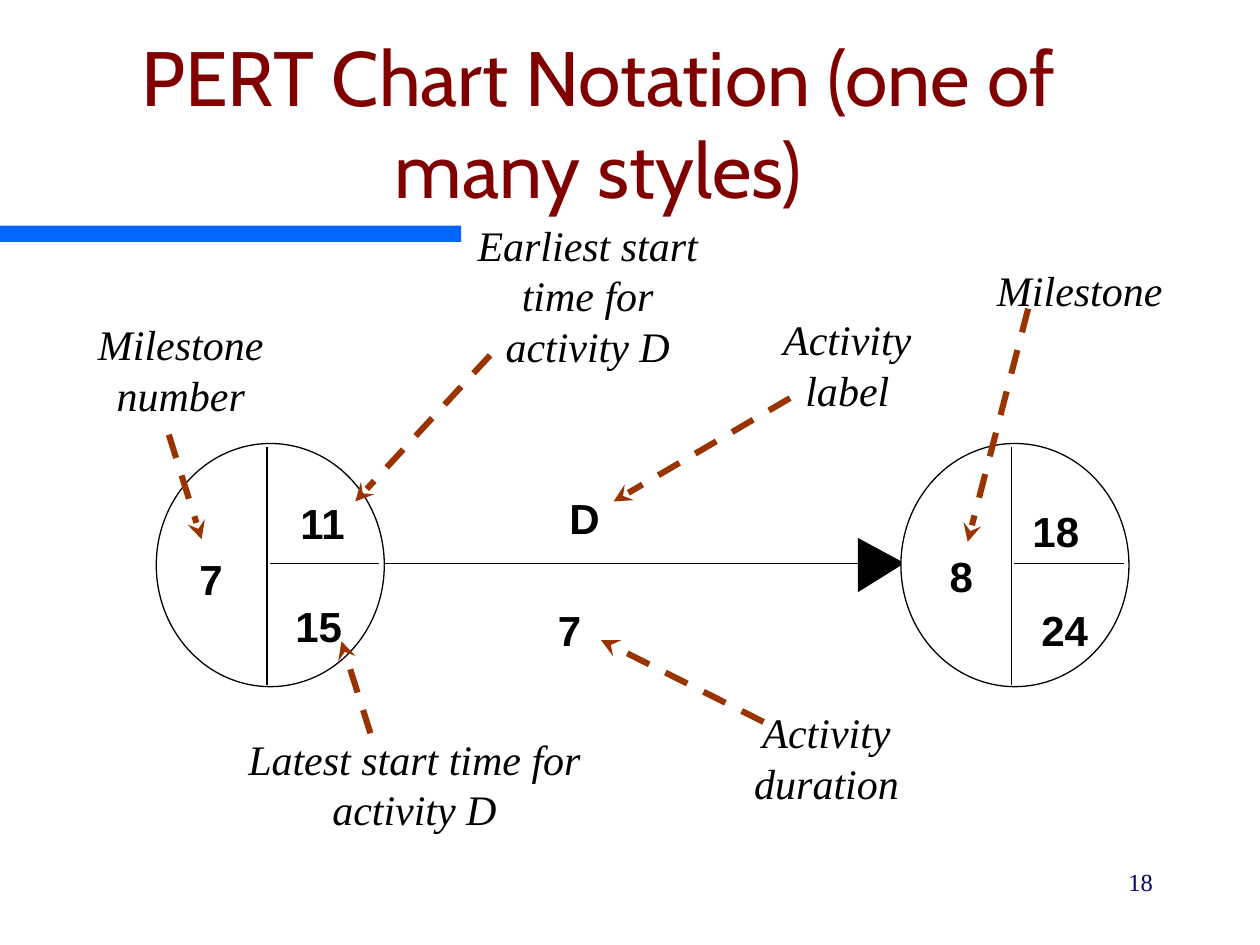
from dataclasses import dataclass

from lxml import etree
from pptx import Presentation
from pptx.dml.color import RGBColor
from pptx.enum.dml import MSO_LINE
from pptx.enum.shapes import MSO_CONNECTOR, MSO_SHAPE
from pptx.enum.text import MSO_ANCHOR, MSO_AUTO_SIZE, PP_ALIGN
from pptx.oxml.ns import qn
from pptx.util import Inches, Pt

STRAIGHT = MSO_CONNECTOR.STRAIGHT
RECT, OVAL = MSO_SHAPE.RECTANGLE, MSO_SHAPE.OVAL
CENTER, RIGHT = PP_ALIGN.CENTER, PP_ALIGN.RIGHT
BOTTOM = MSO_ANCHOR.BOTTOM
NO_FIT = MSO_AUTO_SIZE.NONE
DASH = MSO_LINE.DASH

BLACK = RGBColor(0x00, 0x00, 0x00)
WHITE = RGBColor(0xFF, 0xFF, 0xFF)
BLUE = RGBColor(0x00, 0x66, 0xFF)
NAVY = RGBColor(0x00, 0x00, 0x66)
MAROON = RGBColor(0x80, 0x00, 0x00)
RUST = RGBColor(0x99, 0x33, 0x00)

SERIF, SANS = "Times New Roman", "Arial"
AXIS = 4.47


@dataclass
class Label:
    text: str
    left: float
    top: float
    width: float
    height: float = 0.8


@dataclass
class Arrow:
    x1: float
    y1: float
    x2: float
    y2: float


NOTES = [
    Label("Milestone number", 0.77, 2.53, 1.33),
    Label("Earliest start time for activity D", 3.78, 1.74, 1.77, 1.2),
    Label("Latest start time for activity D", 1.95, 5.82, 2.68),
    Label("Activity duration", 5.72, 5.61, 1.68),
    Label("Activity label", 6.09, 2.49, 1.27),
    Label("Milestone", 7.87, 2.1, 1.4, 0.4),
]
VALUES = [
    Label("18", 8.13, 4.01, 0.5, 0.4),
    Label("24", 8.2, 4.8, 0.5, 0.4),
    Label("8", 7.48, 4.37, 0.3, 0.4),
    Label("D", 4.49, 3.91, 0.3, 0.4),
    Label("7", 4.37, 4.8, 0.3, 0.4),
    Label("11", 2.09, 3.95, 0.94, 0.4),
    Label("15", 2.06, 4.77, 0.94, 0.4),
    Label("7", 1.44, 4.39, 0.47, 0.4),
]
ARROWS = [
    Arrow(8.16, 2.45, 7.68, 4.3),
    Arrow(6.06, 5.73, 4.77, 5.08),
    Arrow(2.94, 5.82, 2.71, 5.09),
    Arrow(6.27, 3.16, 4.87, 3.98),
    Arrow(3.89, 2.82, 2.82, 3.98),
    Arrow(1.34, 3.45, 1.6, 4.28),
]


def add_text(slide, label: Label, face: str, size: float = 24,
             color: RGBColor = BLACK, bold: bool = False,
             italic: bool = False, align: PP_ALIGN = CENTER) -> None:
    box = slide.shapes.add_textbox(Inches(label.left), Inches(label.top),
                                   Inches(label.width), Inches(label.height))
    frame = box.text_frame
    frame.word_wrap = True
    frame.margin_left = frame.margin_right = 0
    frame.margin_top = frame.margin_bottom = 0
    para = frame.paragraphs[0]
    para.text = label.text
    para.alignment = align
    font = para.font
    font.name, font.size = face, Pt(size)
    font.bold, font.italic = bold, italic
    font.color.rgb = color


def add_line(slide, x1: float, y1: float, x2: float, y2: float,
             color: RGBColor = BLACK, width: float = 0.75):
    line = slide.shapes.add_connector(STRAIGHT, Inches(x1), Inches(y1),
                                      Inches(x2), Inches(y2))
    line.line.color.rgb = color
    line.line.width = Pt(width)
    etree.SubElement(line._element.spPr, qn("a:effectLst"))
    return line


def add_arrow(slide, arrow: Arrow) -> None:
    line = add_line(slide, arrow.x1, arrow.y1, arrow.x2, arrow.y2, RUST, 3.5)
    line.line.dash_style = DASH
    tail = etree.SubElement(line.line._get_or_add_ln(), qn("a:tailEnd"))
    tail.set("type", "stealth")


def add_node(slide, left: float) -> None:
    oval = slide.shapes.add_shape(OVAL, Inches(left), Inches(3.52),
                                  Inches(1.81), Inches(1.93))
    oval.shadow.inherit = False
    oval.fill.solid()
    oval.fill.fore_color.rgb = WHITE
    oval.line.color.rgb = BLACK
    oval.line.width = Pt(0.75)
    add_line(slide, left + 0.88, 3.55, left + 0.88, 5.44)
    add_line(slide, left + 1.77, AXIS, left + 0.9, AXIS)


def add_tip(slide) -> None:
    path = slide.shapes.build_freeform(Inches(6.81), Inches(4.7), scale=1.0)
    path.add_line_segments([(Inches(7.18), Inches(AXIS)),
                            (Inches(6.81), Inches(4.27))], close=True)
    tip = path.convert_to_shape()
    tip.shadow.inherit = False
    tip.fill.solid()
    tip.fill.fore_color.rgb = BLACK
    tip.line.fill.background()


def add_title(slide) -> None:
    title = slide.shapes.title
    title.left, title.top = Inches(0.25), Inches(0.5)
    title.width, title.height = Inches(9), Inches(1.25)
    frame = title.text_frame
    frame.text = "PERT Chart Notation (one of many styles)"
    frame.auto_size = NO_FIT
    frame.vertical_anchor = BOTTOM
    para = frame.paragraphs[0]
    para.alignment = CENTER
    para.font.name, para.font.size = "Cabin", Pt(44)
    para.font.color.rgb = MAROON


def add_bar(slide) -> None:
    bar = slide.shapes.add_shape(RECT, 0, Inches(1.79),
                                 Inches(3.66), Inches(0.13))
    bar.shadow.inherit = False
    bar.fill.solid()
    bar.fill.fore_color.rgb = BLUE
    bar.line.fill.background()


def main() -> None:
    deck = Presentation()
    deck.slide_width, deck.slide_height = Inches(10), Inches(7.5)
    slide = deck.slides.add_slide(deck.slide_layouts[5])
    add_title(slide)
    add_bar(slide)
    for note in NOTES:
        add_text(slide, note, SERIF, italic=True)
    add_line(slide, 3.01, AXIS, 6.88, AXIS)
    add_tip(slide)
    for left in (1.24, 7.15):
        add_node(slide, left)
    for value in VALUES:
        add_text(slide, value, SANS, bold=True)
    for arrow in ARROWS:
        add_arrow(slide, arrow)
    add_text(slide, Label("18", 7.17, 6.88, 1.98, 0.4), SERIF, 14, NAVY,
             align=RIGHT)
    deck.save("out.pptx")


if __name__ == "__main__":
    main()
